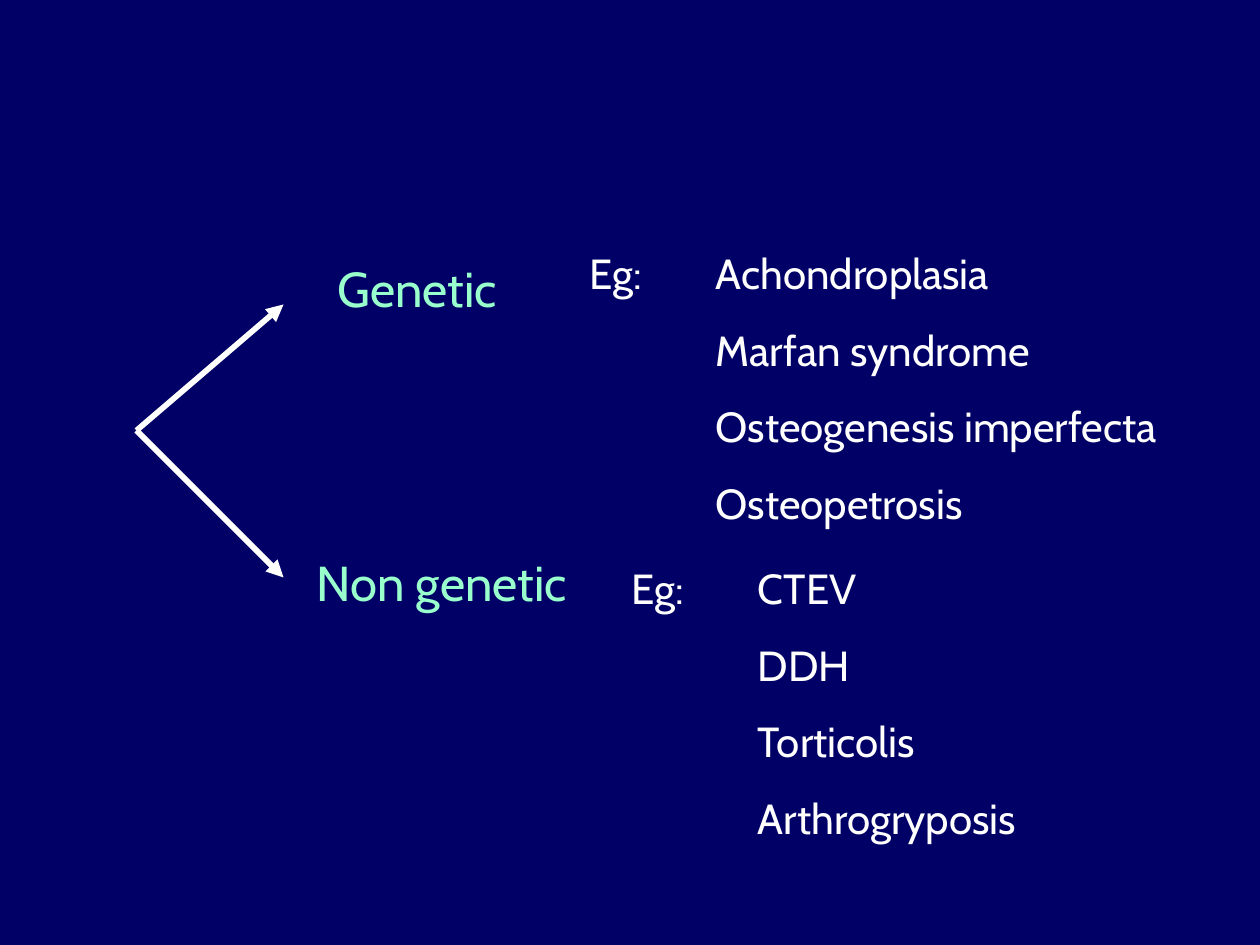
from dataclasses import dataclass

from lxml import etree
from pptx import Presentation
from pptx import util as u
from pptx.dml.color import RGBColor
from pptx.enum import shapes, text
from pptx.oxml.ns import qn
from pptx.slide import Slide

NAVY = RGBColor(0x00, 0x00, 0x66)
MINT = RGBColor(0x99, 0xFF, 0xCC)
WHITE = RGBColor(0xFF, 0xFF, 0xFF)
COLUMNS, ROWS = 120, 90


@dataclass
class Canvas:
    """Draw styled elements on the current slide, on a grid of columns and rows."""

    page: Slide
    width: int
    height: int
    font: str = "Cabin"

    def grid(self, column, row):
        return int(self.width * column / COLUMNS), int(self.height * row / ROWS)

    def background(self, color):
        fill = self.page.background.fill
        fill.solid()
        fill.fore_color.rgb = color

    def arrow(self, start, end):
        line = self.page.shapes.add_connector(
            shapes.MSO_CONNECTOR.STRAIGHT, *self.grid(*start), *self.grid(*end))
        line.line.color.rgb = WHITE
        line.line.width = u.Pt(3.25)
        outline = line._element.spPr.find(qn("a:ln"))
        etree.SubElement(outline, qn("a:tailEnd"), type="triangle")
        etree.SubElement(line._element.spPr, qn("a:effectLst"))

    def label(self, place, extent, lines, size, color, before):
        box = self.page.shapes.add_textbox(*self.grid(*place), *self.grid(*extent))
        frame = box.text_frame
        frame.word_wrap = True
        frame.auto_size = text.MSO_AUTO_SIZE.SHAPE_TO_FIT_TEXT
        frame.text = "\n".join(lines)
        for para in frame.paragraphs:
            para.space_before = u.Pt(before)
            stops = etree.SubElement(para._p.get_or_add_pPr(), qn("a:tabLst"))
            etree.SubElement(stops, qn("a:tab"), pos=str(u.Inches(1)), algn="l")
            para.font.name = self.font
            para.font.size = u.Pt(size)
            para.font.color.rgb = color

    def heading(self, place, title):
        self.label(place, (31, 7), [title], 28, MINT, 17.5)

    def examples(self, place, names):
        lines = [f"{'' if index else 'Eg:'}\t{name}" for index, name in enumerate(names)]
        self.label(place, (COLUMNS - place[0], 29), lines, 24, WHITE, 15)


def main():
    deck = Presentation()
    deck.slide_width, deck.slide_height = u.Inches(10), u.Inches(7.5)
    page = deck.slides.add_slide(deck.slide_layouts[6])
    canvas = Canvas(page, deck.slide_width, deck.slide_height)
    canvas.background(NAVY)

    fork = (13, 41)
    branches = [
        ((27, 29), (31, 24), "Genetic", (55, 23),
         ["Achondroplasia", "Marfan syndrome", "Osteogenesis imperfecta", "Osteopetrosis"]),
        ((27, 55), (29, 52), "Non genetic", (59, 53),
         ["CTEV", "DDH", "Torticolis", "Arthrogryposis"]),
    ]
    for tip, title_place, title, list_place, names in branches:
        canvas.arrow(fork, tip)
        canvas.heading(title_place, title)
        canvas.examples(list_place, names)

    deck.save("out.pptx")


if __name__ == "__main__":
    main()
